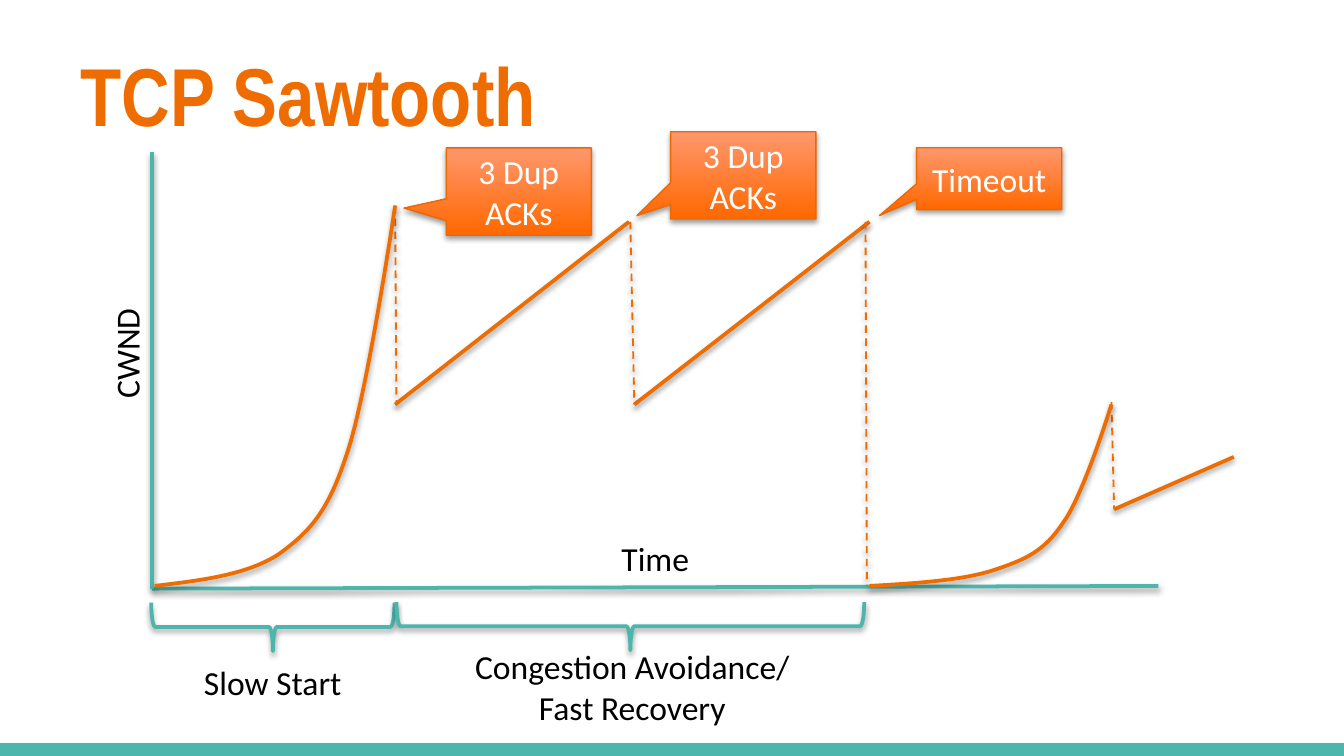
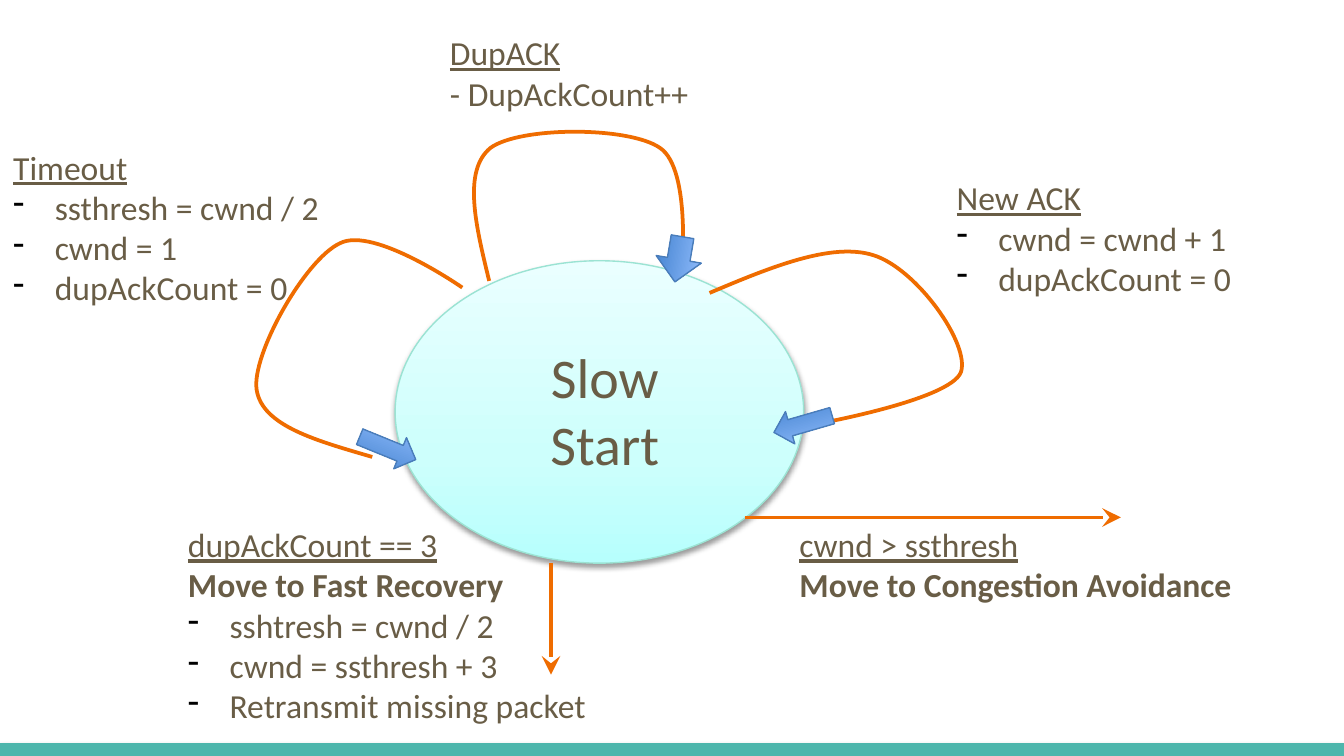
import copy

import lxml.etree
import pptx
import pptx.dml.color
import pptx.enum.dml
import pptx.enum.shapes
import pptx.enum.text
import pptx.oxml.ns
import pptx.util

Inches = pptx.util.Inches
Pt = pptx.util.Pt
qn = pptx.oxml.ns.qn
rgb = pptx.dml.color.RGBColor.from_string
SHAPE = pptx.enum.shapes.MSO_SHAPE
STRAIGHT = pptx.enum.shapes.MSO_CONNECTOR.STRAIGHT
ALIGN = pptx.enum.text.PP_ALIGN


class Theme:
    teal = "4DB6AC"
    orange = "EF6C00"
    callout_edge = "EE6800"
    ellipse_edge = "9BE3D3"
    arrow_edge = "4A7DBA"
    brown = "695D46"
    black = "000000"
    white = "FFFFFF"
    callout_fill = [(0, "FF6800"), (1, "FF976D")]
    ellipse_fill = [(0, "B7FFFD"), (0.35, "CDFFFC"), (1, "EAFFFF")]
    arrow_fill = [(0, "3E7FCD"), (1, "96C0FF")]
    title_font = "Arial Narrow"
    body_font = "Calibri"
    title_size = 44
    state_size = 30
    body_size = 18


def style(shape, color, width, shadow=True, gradient=None):
    """Set outline, upward gradient and soft drop shadow; no gradient means no fill."""
    shape.line.color.rgb = rgb(color)
    shape.line.width = Pt(width)
    properties = shape.element.spPr
    if gradient:
        shape.fill.gradient()
        shape.fill.gradient_angle = 90
        stop_list = properties.find(".//" + qn("a:gsLst"))
        while len(stop_list) < len(gradient):
            stop_list.append(copy.deepcopy(stop_list[0]))
        for stop, (position, stop_color) in zip(shape.fill.gradient_stops, gradient):
            stop.position = position
            stop.color.rgb = rgb(stop_color)
    elif hasattr(shape, "fill"):
        shape.fill.background()
    effects = lxml.etree.SubElement(properties, qn("a:effectLst"))
    if shadow:
        outer = lxml.etree.SubElement(
            effects, qn("a:outerShdw"), blurRad=str(Pt(3.1)), dist=str(Pt(1.6)),
            dir="5400000", rotWithShape="0")
        black = lxml.etree.SubElement(outer, qn("a:srgbClr"), val=Theme.black)
        lxml.etree.SubElement(black, qn("a:alpha"), val="38000")


def write(paragraph, text, color, size=Theme.body_size, font=Theme.body_font):
    paragraph.text = text
    paragraph.font.name = font
    paragraph.font.size = Pt(size)
    paragraph.font.color.rgb = rgb(color)


presentation = pptx.Presentation()
presentation.slide_width = Inches(10)
presentation.slide_height = Inches(5.625)
sawtooth = presentation.slides.add_slide(presentation.slide_layouts[5])
states = presentation.slides.add_slide(presentation.slide_layouts[6])

# Footer band, shared through the slide master
band = sawtooth.shapes.add_connector(STRAIGHT, 0, Inches(5.6), Inches(10), Inches(5.6))
style(band, Theme.teal, 10)
presentation.slide_master.shapes.element.append(band.element)

title = sawtooth.shapes.title
title.left, title.top, title.width, title.height = map(Inches, (0.5, 0.23, 9, 0.94))
title.text_frame.vertical_anchor = pptx.enum.text.MSO_ANCHOR.MIDDLE
title.text_frame.auto_size = pptx.enum.text.MSO_AUTO_SIZE.NONE
paragraph = title.text_frame.paragraphs[0]
write(paragraph, "TCP Sawtooth", Theme.orange, Theme.title_size, Theme.title_font)
paragraph.alignment = ALIGN.LEFT
paragraph.font.bold = True

ellipse = states.shapes.add_shape(
    SHAPE.OVAL, Inches(2.94), Inches(1.94), Inches(3.04), Inches(2.25))
style(ellipse, Theme.ellipse_edge, 0.75, gradient=Theme.ellipse_fill)

# Straight lines: axes, linear growth, window drops, exits from the state
lines = [
    (sawtooth, "axis", (1.13, 4.38, 8.62, 4.36)),
    (sawtooth, "axis", (1.13, 4.38, 1.13, 1.13)),
    (sawtooth, "growth", (2.94, 3.01, 4.68, 1.65)),
    (sawtooth, "growth", (4.72, 3.01, 6.47, 1.65)),
    (sawtooth, "growth", (8.29, 3.79, 9.18, 3.4)),
    (sawtooth, "drop", (2.94, 1.53, 2.95, 3.01)),
    (sawtooth, "drop", (4.69, 1.65, 4.72, 3.01)),
    (sawtooth, "drop", (6.44, 1.65, 6.45, 4.36)),
    (sawtooth, "drop", (8.27, 2.99, 8.29, 3.79)),
    (states, "exit", (5.54, 3.85, 8.34, 3.85)),
    (states, "exit", (4.1, 4.19, 4.1, 5.02)),
]
for slide, kind, ends in lines:
    line = slide.shapes.add_connector(STRAIGHT, *map(Inches, ends))
    style(line, Theme.teal if kind == "axis" else Theme.orange,
          1 if kind == "drop" else 2, shadow=kind != "exit")
    if kind == "drop":
        line.line.dash_style = pptx.enum.dml.MSO_LINE.DASH
    if kind == "exit":
        lxml.etree.SubElement(line.element.spPr.find(qn("a:ln")), qn("a:tailEnd"),
                              type="stealth", w="lg", len="lg")

# Curves in hundredths of an inch: a start point, then three points per cubic segment
curves = [
    (sawtooth, [(115, 436), (149, 432), (184, 428), (208, 412), (231, 395),
                (244, 381), (258, 338), (273, 295), (294, 153), (294, 153)]),
    (sawtooth, [(647, 436), (681, 434), (716, 432), (740, 424), (764, 416),
                (777, 410), (791, 389), (806, 369), (827, 301), (827, 301)]),
    (states, [(528, 218), (573, 199), (619, 180), (650, 190), (682, 200),
              (722, 256), (715, 277), (707, 298), (605, 316), (605, 316)]),
    (states, [(277, 340), (236, 328), (195, 317), (191, 290), (187, 264),
              (227, 193), (253, 181), (278, 168), (344, 214), (344, 214)]),
    (states, [(364, 209), (354, 168), (344, 127), (365, 110), (387, 94),
              (468, 94), (491, 110), (515, 126), (507, 206), (507, 206)]),
]
for slide, points in curves:
    builder = slide.shapes.build_freeform(*points[0], scale=Inches(0.01))
    builder.add_line_segments(points[1:], close=False)
    curve = builder.convert_to_shape()
    outline = curve.element.spPr.find(".//" + qn("a:path"))
    steps = outline.findall(qn("a:lnTo"))
    for first in range(0, len(steps), 3):
        cubic = lxml.etree.SubElement(outline, qn("a:cubicBezTo"))
        for step in steps[first:first + 3]:
            cubic.append(step[0])
            outline.remove(step)
    style(curve, Theme.orange, 2, shadow=slide is sawtooth)

for left, top, width, height, rotation in [
    (5.75, 3.03, 0.45, 0.25, 163.9),
    (2.66, 3.21, 0.45, 0.25, 22.2),
    (4.88, 1.76, 0.34, 0.34, 99.6),
]:
    arrow = states.shapes.add_shape(
        SHAPE.RIGHT_ARROW, *map(Inches, (left, top, width, height)))
    arrow.rotation = rotation
    style(arrow, Theme.arrow_edge, 0.75, shadow=False, gradient=Theme.arrow_fill)

for left, top, length in [(1.85, 3.76, 1.81), (4.51, 2.92, 3.48)]:
    brace = sawtooth.shapes.add_shape(
        SHAPE.RIGHT_BRACE, *map(Inches, (left, top, 0.36, length)))
    brace.rotation = 90
    brace.adjustments[0] = 0.083
    style(brace, Theme.teal, 2)

for text, left, top, height, tip in [
    ("3 Dup ACKs", 3.32, 1.1, 0.65, (-0.791, 0.19)),
    ("3 Dup ACKs", 4.99, 0.98, 0.65, (-0.733, 0.462)),
    ("Timeout", 6.82, 1.1, 0.46, (-0.756, 0.597)),
]:
    callout = sawtooth.shapes.add_shape(
        SHAPE.RECTANGULAR_CALLOUT, *map(Inches, (left, top, 1.08, height)))
    callout.adjustments[0], callout.adjustments[1] = tip
    style(callout, Theme.callout_edge, 0.75, gradient=Theme.callout_fill)
    callout.text_frame.word_wrap = True
    paragraph = callout.text_frame.paragraphs[0]
    write(paragraph, text, Theme.white)
    paragraph.alignment = ALIGN.CENTER

for lines_of_text, box, rotation in [
    (["Time"], (4.52, 3.95, 0.71, 0.4), 0),
    (["CWND"], (0.5, 2.43, 0.88, 0.4), 270),
    (["Slow Start"], (1.41, 4.88, 1.24, 0.4), 0),
    (["Congestion Avoidance/", "Fast Recovery"], (3.42, 4.76, 2.57, 0.71), 0),
]:
    label = sawtooth.shapes.add_textbox(*map(Inches, box))
    label.rotation = rotation
    frame = label.text_frame
    frame.word_wrap = True
    for index, text in enumerate(lines_of_text):
        paragraph = frame.add_paragraph() if index else frame.paragraphs[0]
        write(paragraph, text, Theme.black)
        paragraph.alignment = ALIGN.CENTER

state_name = states.shapes.add_textbox(*map(Inches, (3.86, 2.5, 1.28, 0.83)))
state_name.text_frame.word_wrap = True
paragraph = state_name.text_frame.paragraphs[0]
write(paragraph, "Slow Start", Theme.brown, Theme.state_size)
paragraph.alignment = ALIGN.CENTER

# Each transition: its event, then the actions taken
transitions = [
    ((7.02, 1.27, 2.88, 0.76), [
        ("event", "New ACK"), ("bullet", "cwnd = cwnd + 1"), ("bullet", "dupAckCount = 0")]),
    ((5.85, 3.85, 3.52, 0.53), [
        ("event", "cwnd > ssthresh"), ("move", "Move to Congestion Avoidance")]),
    ((1.3, 3.85, 3.28, 0.98), [
        ("event", "dupAckCount == 3"), ("move", "Move to Fast Recovery"),
        ("bullet", "sshtresh = cwnd / 2"), ("bullet", "cwnd = ssthresh + 3"),
        ("bullet", "Retransmit missing packet")]),
    ((0, 1.04, 2.77, 0.98), [
        ("event", "Timeout"), ("bullet", "ssthresh = cwnd / 2"),
        ("bullet", "cwnd = 1"), ("bullet", "dupAckCount = 0")]),
    ((3.25, 0.19, 2.6, 0.53), [("event", "DupACK"), ("plain", "- DupAckCount++")]),
]
for box, entries in transitions:
    frame = states.shapes.add_textbox(*map(Inches, box)).text_frame
    frame.word_wrap = True
    for index, (kind, text) in enumerate(entries):
        paragraph = frame.add_paragraph() if index else frame.paragraphs[0]
        if kind == "bullet":
            properties = paragraph._p.get_or_add_pPr()
            properties.set("marL", str(Inches(0.31)))
            properties.set("indent", str(-Inches(0.31)))
            bullet_color = lxml.etree.SubElement(properties, qn("a:buClr"))
            lxml.etree.SubElement(bullet_color, qn("a:srgbClr"), val=Theme.black)
            lxml.etree.SubElement(properties, qn("a:buChar"), char="-")
        write(paragraph, text, Theme.brown)
        paragraph.font.underline = kind == "event"
        paragraph.font.bold = kind == "move"

presentation.save("out.pptx")
